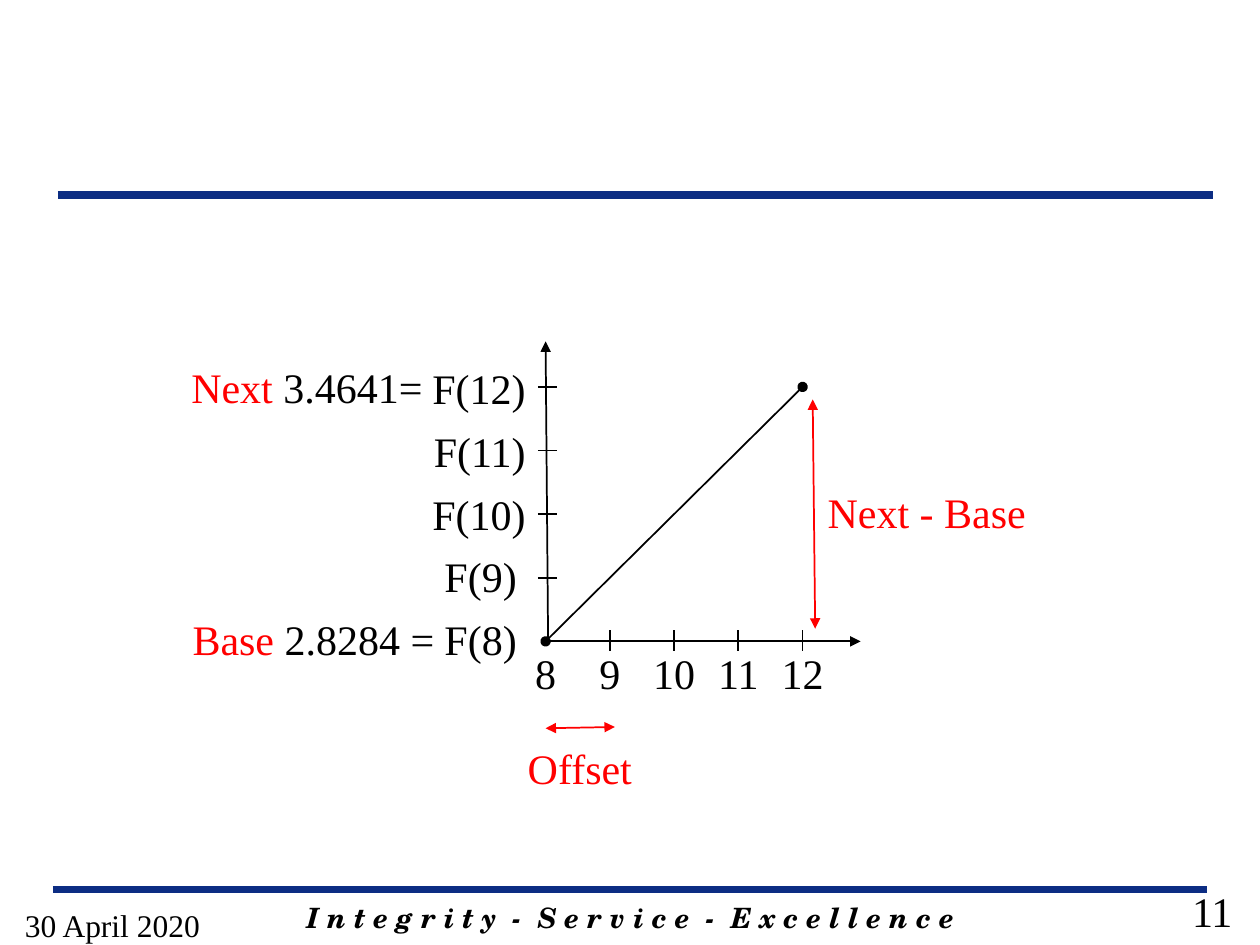
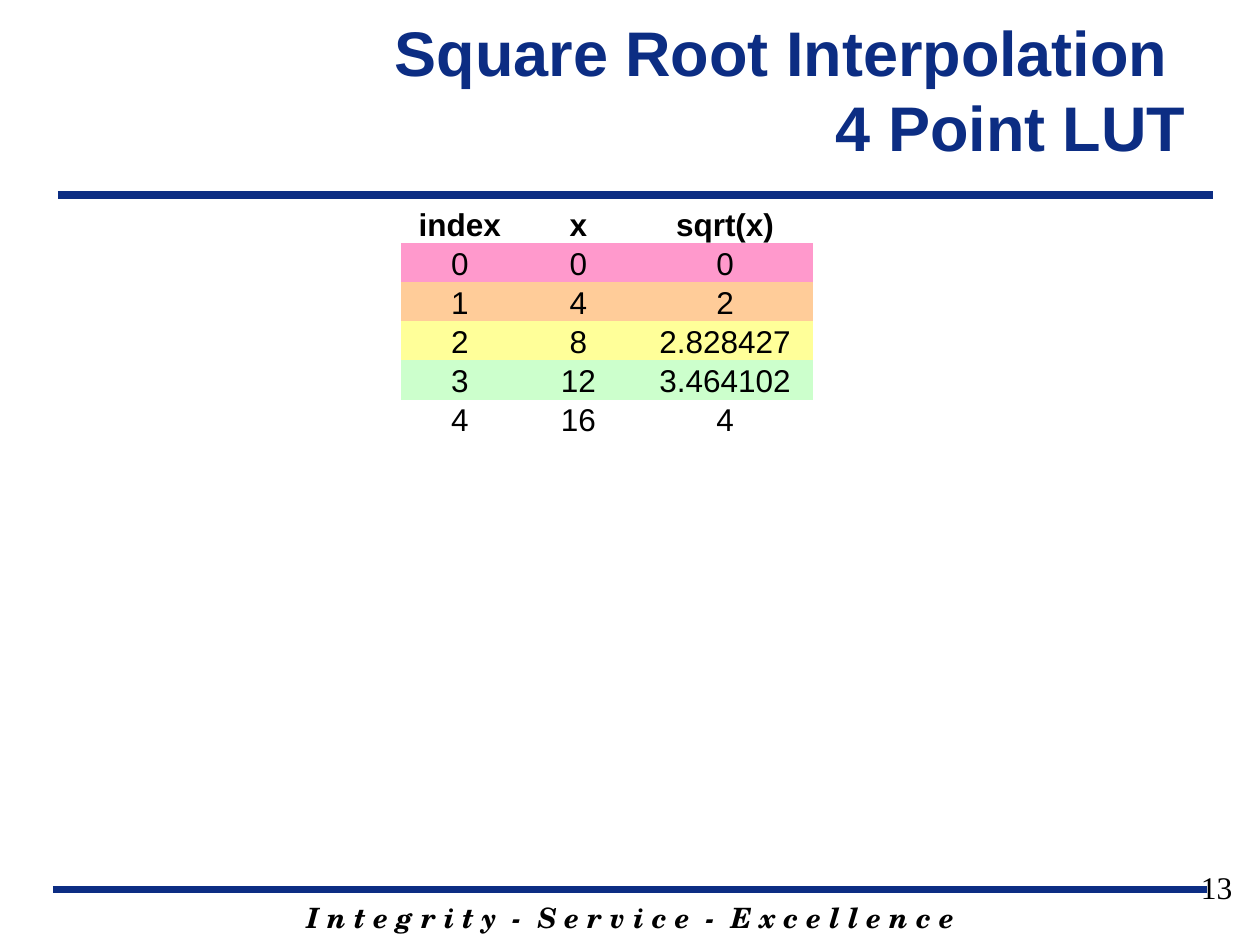
from pptx import Presentation
from pptx.dml.color import RGBColor
from pptx.enum.text import MSO_ANCHOR as Anchor, PP_ALIGN as Align
from pptx.oxml.ns import qn
from pptx.util import Inches, Pt
from lxml.etree import SubElement

NAVY = RGBColor(0x0C, 0x2D, 0x83)
BLACK = RGBColor(0, 0, 0)
RED = RGBColor(0xFF, 0, 0)
PINK = RGBColor(0xFF, 0x99, 0xCC)
ORANGE = RGBColor(0xFF, 0xCC, 0x99)
YELLOW = RGBColor(0xFF, 0xFF, 0x99)
GREEN = RGBColor(0xCC, 0xFF, 0xCC)
SERIF, SANS, MOTTO_FONT = "Times New Roman", "Arial", "TeX Gyre Schola"

prs = Presentation()
prs.slide_width, prs.slide_height = Inches(10), Inches(7.5)
COL, ROW = prs.slide_width / 100, prs.slide_height / 100


def add_line(shapes, x1, y1, x2, y2, color=BLACK, width=1, head=None, tail=None):
    s = shapes.add_connector(1, int(x1 * COL), int(y1 * ROW), int(x2 * COL), int(y2 * ROW))
    s.line.color.rgb = color
    s.line.width = Pt(width)
    ln = s.line._get_or_add_ln()
    for tag, end in (("a:headEnd", head), ("a:tailEnd", tail)):
        if end:
            SubElement(ln, qn(tag)).set("type", end)
    SubElement(s._element.spPr, qn("a:effectLst"))


def add_text(shapes, x, y, w, h, runs, size=24, align=Align.LEFT, font=SERIF):
    s = shapes.add_textbox(int(x * COL), int(y * ROW), int(w * COL), int(h * ROW))
    tf = s.text_frame
    tf.word_wrap = True
    p = tf.paragraphs[0]
    p.alignment = align
    p.font.size, p.font.name = Pt(size), font
    for text, color in runs:
        r = p.add_run()
        r.text = text
        r.font.color.rgb = color
    return p


graph_slide = prs.slides.add_slide(prs.slide_layouts[6])
table_slide = prs.slides.add_slide(prs.slide_layouts[5])

for slide, number, top, size in ((graph_slide, "11", 93.07, 24), (table_slide, "13", 91.2, 18)):
    add_line(slide.shapes, 4.2, 94.13, 95.8, 94.13, NAVY, 4.5)
    add_line(slide.shapes, 4.6, 20.67, 96.3, 20.67, NAVY, 4.5)
    p = add_text(slide.shapes, 14.2, 94.67, 71.7, 4.93,
                 [("I n t e g r i t y  -  S e r v i c e  -  E x c e l l e n c e", BLACK)],
                 16, Align.CENTER, MOTTO_FONT)
    p.font.bold = p.font.italic = True
    add_text(slide.shapes, 75.5, top, 23.3, 6.93, [(number, BLACK)], size, Align.RIGHT)

add_text(graph_slide.shapes, 1, 95.2, 23.3, 4.8, [("30 April 2020", BLACK)], 18)

X0, Y0 = 43.3, 67.87
X_STEP, Y_STEP = 5.1, 6.73
LABEL_H, LABEL_STEP = 6.67, 6.63
BASE_TOP = 64.27
graph = graph_slide.shapes.add_group_shape().shapes
add_line(graph, X0, Y0, 68.3, Y0, tail="triangle")
add_line(graph, X0 + 0.2, Y0, X0, 36.13, tail="triangle")
for i in range(5):
    x, y = X0 + i * X_STEP, Y0 - i * Y_STEP
    n = 8 + i
    if i:
        add_line(graph, x, Y0 - 1.2, x, Y0 + 1)
        add_line(graph, X0 - 0.6, y, X0 + 0.9, y)
    add_text(graph, x - 2.7, Y0, 5.4, LABEL_H, [(str(n), BLACK)], align=Align.CENTER)
    right = 42 if n < 10 else 42.7
    add_text(graph, right - 10.3, BASE_TOP - i * LABEL_STEP, 10.3, LABEL_H,
             [(f"F({n})", BLACK)], align=Align.RIGHT)
add_line(graph, X0, Y0, X0 + 4 * X_STEP, Y0 - 4 * Y_STEP, head="oval", tail="oval")

for x, y, w, runs in (
    (14.2, 37.6, 21, [("Next", RED), (" 3.4641=", BLACK)]),
    (14.3, BASE_TOP, 22, [("Base", RED), (" 2.8284 =", BLACK)]),
    (64.7, 50.8, 19, [("Next - Base", RED)]),
    (40.9, 77.87, 11, [("Offset", RED)]),
):
    add_text(graph_slide.shapes, x, y, w, LABEL_H, runs)
for ends in ((64.7, 66.53, 64.5, 42.27), (X0, 77.07, 48.8, 76.93)):
    add_line(graph_slide.shapes, *ends, RED, head="triangle", tail="triangle")

s = table_slide.shapes.title
s.left, s.top = int(20.9 * COL), int(1.07 * ROW)
s.width, s.height = int(74.2 * COL), int(16.67 * ROW)
tf = s.text_frame
tf.text = "Square Root Interpolation \v4 Point LUT"
tf.vertical_anchor = Anchor.MIDDLE
p = tf.paragraphs[0]
p.alignment = Align.RIGHT
p.font.size, p.font.name, p.font.bold = Pt(36), SANS, True
p.font.color.rgb = NAVY

rows = [
    (None, "index", "x", "sqrt(x)"),
    (PINK, "0", "0", "0"),
    (ORANGE, "1", "4", "2"),
    (YELLOW, "2", "8", "2.828427"),
    (GREEN, "3", "12", "3.464102"),
    (None, "4", "16", "4"),
]
widths = (9.4, 9.4, 13.9)
ROW_H = 3.87
s = table_slide.shapes.add_table(len(rows), len(widths), int(31.8 * COL), int(21.6 * ROW),
                                 int(sum(widths) * COL), int(len(rows) * ROW_H * ROW))
s._element.xpath(".//a:tableStyleId")[0].text = "{2D5ABB26-0587-4C30-8999-92F81FD0307C}"
table = s.table
table.horz_banding = False
for column, width in zip(table.columns, widths):
    column.width = int(width * COL)
for i, (color, *values) in enumerate(rows):
    for j, value in enumerate(values):
        cell = table.cell(i, j)
        cell.text = value
        cell.vertical_anchor = Anchor.BOTTOM
        cell.margin_left = cell.margin_right = cell.margin_top = Inches(0.01)
        cell.margin_bottom = 0
        if color:
            cell.fill.solid()
            cell.fill.fore_color.rgb = color
        else:
            cell.fill.background()
        p = cell.text_frame.paragraphs[0]
        p.alignment = Align.CENTER
        p.font.size, p.font.name, p.font.bold = Pt(18), SANS, i == 0
        p.font.color.rgb = BLACK

prs.save("out.pptx")
